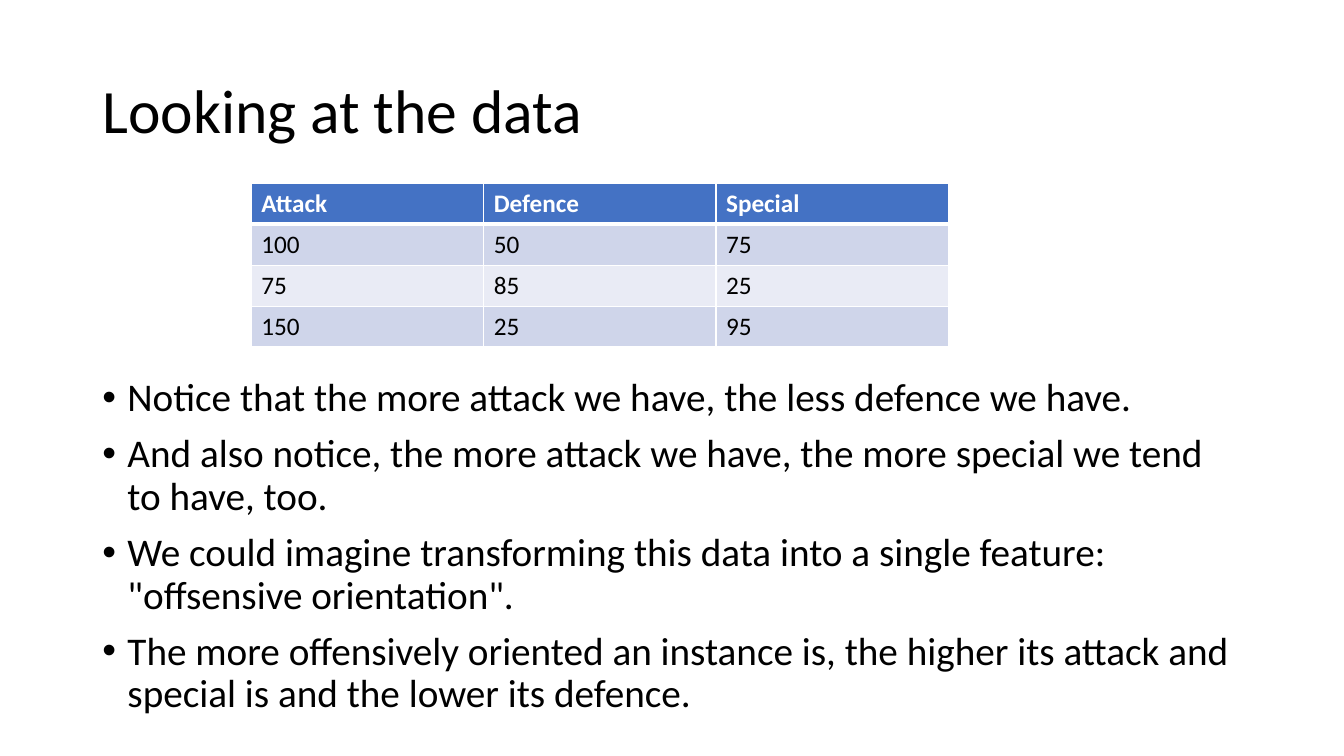
from dataclasses import dataclass

from lxml.etree import SubElement
from pptx import Presentation
from pptx.dml.color import RGBColor as RGB
from pptx.enum.text import MSO_ANCHOR as Anchor
from pptx.oxml.ns import qn
from pptx.util import Pt


@dataclass(frozen=True)
class Theme:
    """Font, type sizes and colours of the slide."""
    font: str = "Calibri"
    title: int = 44
    body: int = 28
    cell: int = 18
    ink: str = "000000"
    white: str = "FFFFFF"
    header: str = "4472C4"
    bands: tuple = ("CFD5EA", "E9EBF5")


T = Theme()
ROWS = [
    ("Attack", "Defence", "Special"),
    ("100", "50", "75"),
    ("75", "85", "25"),
    ("150", "25", "95"),
]
POINTS = [
    "Notice that the more attack we have, the less defence we have.",
    "And also notice, the more attack we have, the more special we tend to have, too.",
    'We could imagine transforming this data into a single feature: "offsensive orientation".',
    "The more offensively oriented an instance is, the higher its attack and special is and the lower its defence.",
]


def write(p, text, size, color=T.ink, bold=False, spacing=None, before=0):
    """Put formatted text into a paragraph."""
    r = p.add_run()
    r.text = text
    r.font.name, r.font.size, r.font.bold = T.font, Pt(size), bold
    r.font.color.rgb = RGB.from_string(color)
    p.line_spacing = spacing
    p.space_before = Pt(before)


def add_bullet(p, indent):
    """Give a paragraph a hanging round bullet."""
    pPr = p._p.get_or_add_pPr()
    pPr.set("marL", str(Pt(indent)))
    pPr.set("indent", str(-Pt(indent)))
    SubElement(pPr, qn("a:buFont"), typeface="Arial")
    SubElement(pPr, qn("a:buChar"), char="•")


def add_borders(cell, color, **widths):
    """Draw cell borders, with widths keyed by side."""
    tcPr = cell._tc.get_or_add_tcPr()
    for i, (side, width) in enumerate(widths.items()):
        ln = SubElement(tcPr, qn(f"a:ln{side}"), w=str(Pt(width)))
        fill = SubElement(ln, qn("a:solidFill"))
        SubElement(fill, qn("a:srgbClr"), val=color)
        tcPr.insert(i, ln)


def add_text_box(s, x, y, w, h, anchor=Anchor.TOP):
    """Add a wrapping text box and return its frame."""
    tf = s.shapes.add_textbox(Pt(x), Pt(y), Pt(w), Pt(h)).text_frame
    tf.word_wrap = True
    tf.vertical_anchor = anchor
    return tf


def add_title(s, text, x, y, w, h):
    """Add the slide title, centred vertically in its box."""
    tf = add_text_box(s, x, y, w, h, Anchor.MIDDLE)
    write(tf.paragraphs[0], text, T.title, spacing=0.9)


def add_stats_table(s, rows, x, y, w, h):
    """Add the banded table with a header row."""
    tbl = s.shapes.add_table(len(rows), len(rows[0]), Pt(x), Pt(y), Pt(w), Pt(h)).table
    for i, row in enumerate(rows):
        head = i == 0
        for j, text in enumerate(row):
            cell = tbl.cell(i, j)
            cell.fill.solid()
            cell.fill.fore_color.rgb = RGB.from_string(T.header if head else T.bands[(i - 1) % 2])
            write(cell.text_frame.paragraphs[0], text, T.cell, T.white if head else T.ink, head)
            add_borders(cell, T.white, L=1, R=1, T=3 if i == 1 else 1, B=3 if head else 1)


def add_points(s, points, x, y, w, h):
    """Add the bulleted list."""
    tf = add_text_box(s, x, y, w, h)
    for i, text in enumerate(points):
        p = tf.add_paragraph() if i else tf.paragraphs[0]
        write(p, text, T.body, spacing=0.9, before=10 if i else 0)
        add_bullet(p, 18)


def main():
    """Build the slide and save it."""
    prs = Presentation()
    prs.slide_width, prs.slide_height = Pt(960), Pt(540)
    s = prs.slides.add_slide(prs.slide_layouts[6])
    add_title(s, "Looking at the data", 66, 28.75, 828, 104.4)
    add_points(s, POINTS, 66, 266.3, 828, 273.7)
    add_stats_table(s, ROWS, 179.5, 131, 498, 117)
    prs.save("out.pptx")


if __name__ == "__main__":
    main()
